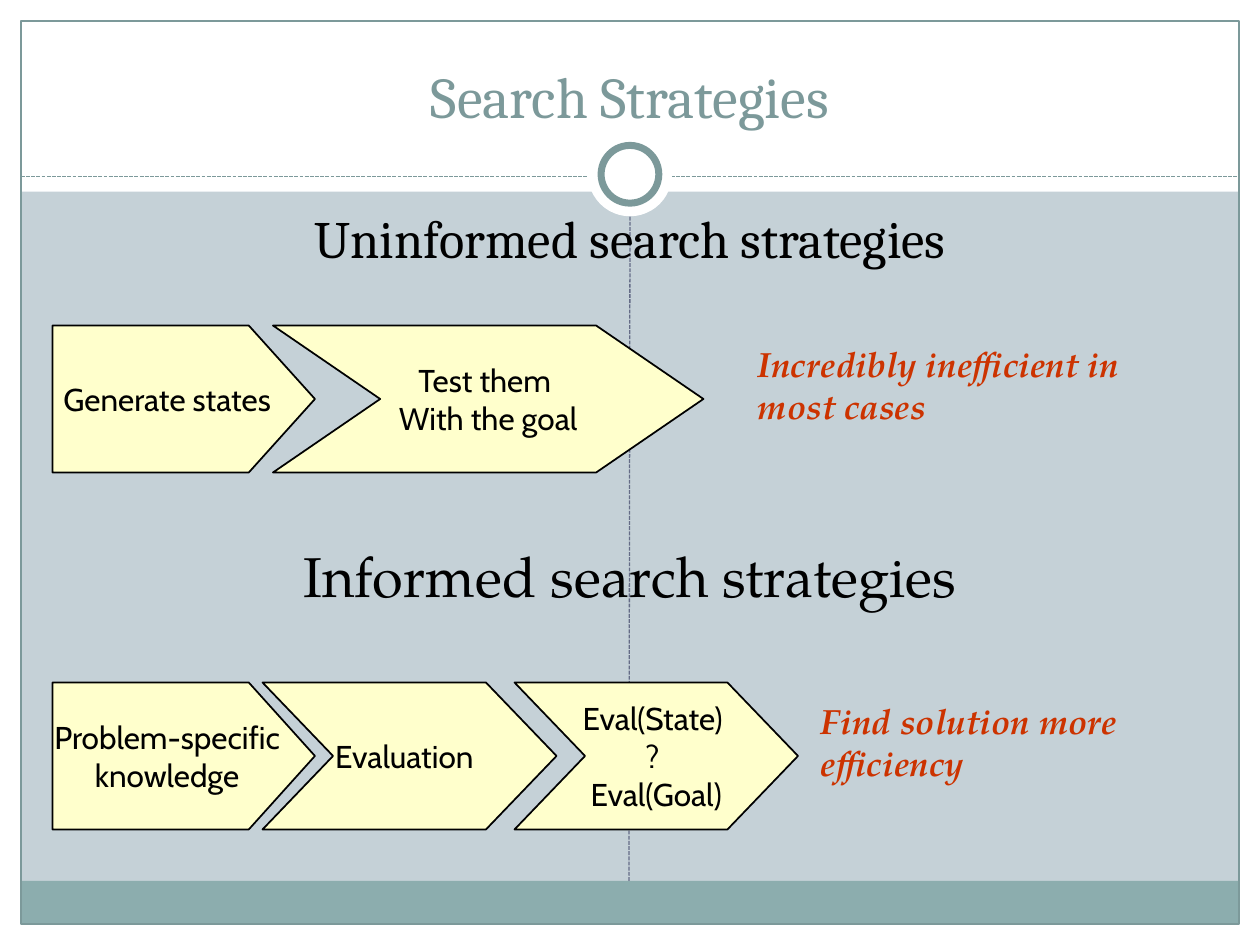
from lxml.etree import SubElement as Sub
from pptx import Presentation
from pptx.dml.color import RGBColor as Rgb
from pptx.enum.dml import MSO_LINE as Dash
from pptx.enum.shapes import MSO_CONNECTOR as Link, MSO_SHAPE as Geo
from pptx.enum.text import MSO_ANCHOR as Anchor, MSO_AUTO_SIZE as Fit, PP_ALIGN as Align
from pptx.oxml.ns import qn
from pptx.util import Inches, Pt

WHITE, TEAL, BLACK = "FFFFFF", "7C999A", "000000"


def tint(code):
    """Turn a hex string into a colour."""
    return Rgb.from_string(code)


def cell(*nums):
    """Turn grid steps of a twelfth of an inch into lengths."""
    return [Inches(n / 12) for n in nums]


def write(shape, text, font, size, color=BLACK, align=Align.CENTER,
          anchor=Anchor.TOP, wrap=True, bold=False, italic=False):
    """Fill a shape with text, one paragraph a line."""
    frame = shape.text_frame
    frame.text = text
    frame.word_wrap, frame.auto_size = wrap, Fit.NONE
    frame.vertical_anchor = anchor
    for par in frame.paragraphs:
        props = par._p.get_or_add_pPr()
        props.set("marL", "0")
        props.set("indent", "0")
        par.space_before = Pt(0)
        Sub(props, qn("a:buNone"))
        par.alignment = align
        for run in par.runs:
            face = run.font
            face.name, face.size = font, Pt(size)
            face.bold, face.italic = bold, italic
            face.color.rgb = tint(color)


class Page:
    """Holds the style and the current slide."""

    head, serif, sans = "Cambria", "TeX Gyre Pagella", "Cabin"

    def __init__(self, deck):
        """Add a slide with a plain background."""
        self.slide = deck.slides.add_slide(deck.slide_layouts[1])
        self.shapes = self.slide.shapes
        back = self.slide.background.fill
        back.solid()
        back.fore_color.rgb = tint("C5D1D7")

    def block(self, geo, box, fill=None, line=None, width=0.75):
        """Draw a preset shape."""
        shape = self.shapes.add_shape(geo, *cell(*box))
        shape.shadow.inherit = False
        if fill:
            shape.fill.solid()
            shape.fill.fore_color.rgb = tint(fill)
        else:
            shape.fill.background()
        if line:
            shape.line.color.rgb = tint(line)
            shape.line.width = Pt(width)
        else:
            shape.line.fill.background()
        return shape

    def rule(self, ends, color):
        """Draw a dashed line."""
        line = self.shapes.add_connector(Link.STRAIGHT, *cell(*ends))
        line.line.color.rgb = tint(color)
        line.line.width = Pt(0.75)
        line.line.dash_style = Dash.SQUARE_DOT
        Sub(line._element.spPr, qn("a:effectLst"))

    def holder(self, index, box, text, **form):
        """Place a template placeholder above the backdrop."""
        shape = self.slide.placeholders[index]
        shape.left, shape.top, shape.width, shape.height = cell(*box)
        tree = shape._element.getparent()
        tree.append(shape._element)
        write(shape, text, self.head, **form)

    def label(self, box, text, **form):
        """Add a text box in the serif face."""
        write(self.shapes.add_textbox(*cell(*box)), text, self.serif, **form)

    def note(self, left, top, text):
        """Add a red remark."""
        self.label((left, top, 37, 9.2), text, size=20, color="CC3300",
                   align=Align.LEFT, bold=True, italic=True)

    def step(self, geo, left, top, width, bend, text, align=Align.CENTER):
        """Add an arrow-shaped step of a process."""
        shape = self.block(geo, (left, top, width, 14), "FFFFCC", BLACK, 1)
        shape.adjustments[0] = bend
        write(shape, text, self.sans, 18, align=align,
              anchor=Anchor.MIDDLE, wrap=False)

    def frame(self):
        """Draw the backdrop: margins, bars, rules and ring."""
        for box in ((0, 88, 120, 2), (0, 0, 120, 18.25),
                    (0, 0, 2, 90), (118, 0, 2, 90)):
            self.block(Geo.RECTANGLE, box, WHITE)
        self.block(Geo.RECTANGLE, (2, 83.9, 116, 4.1), "8CADAE")
        self.block(Geo.RECTANGLE, (2, 2, 116, 86), line=TEAL)
        self.rule((2, 16.8, 118, 16.8), TEAL)
        self.block(Geo.OVAL, (56, 12.6, 8, 8), WHITE)
        self.block(Geo.OVAL, (57.25, 13.85, 5.5, 5.5), WHITE, TEAL, 4)
        self.rule((59.9, 83.9, 60, 20.6), "646B86")


def main():
    """Build and save the slide."""
    deck = Presentation()
    deck.slide_width, deck.slide_height = cell(120, 90)
    page = Page(deck)
    page.frame()
    page.holder(0, (4, 3, 112, 10), "Search Strategies", size=33,
                color=TEAL, anchor=Anchor.BOTTOM)
    page.holder(1, (4, 19, 112, 9), "Uninformed search strategies", size=30)
    page.step(Geo.PENTAGON, 5, 31, 25, 0.45, "Generate states")
    page.step(Geo.CHEVRON, 26, 31, 41, 0.73, "Test them \nWith the goal")
    page.note(71, 32, "Incredibly inefficient in most cases")
    page.label((4, 51, 112, 9), "Informed search strategies", size=32)
    page.step(Geo.PENTAGON, 5, 65, 25, 0.45, "Problem-specific\nknowledge")
    page.step(Geo.CHEVRON, 25, 65, 28, 0.48, "Evaluation", Align.RIGHT)
    page.note(77, 66, "Find solution more efficiency")
    page.step(Geo.CHEVRON, 49, 65, 27, 0.48, "Eval(State) \n? \nEval(Goal)")
    deck.save("out.pptx")


if __name__ == "__main__":
    main()
